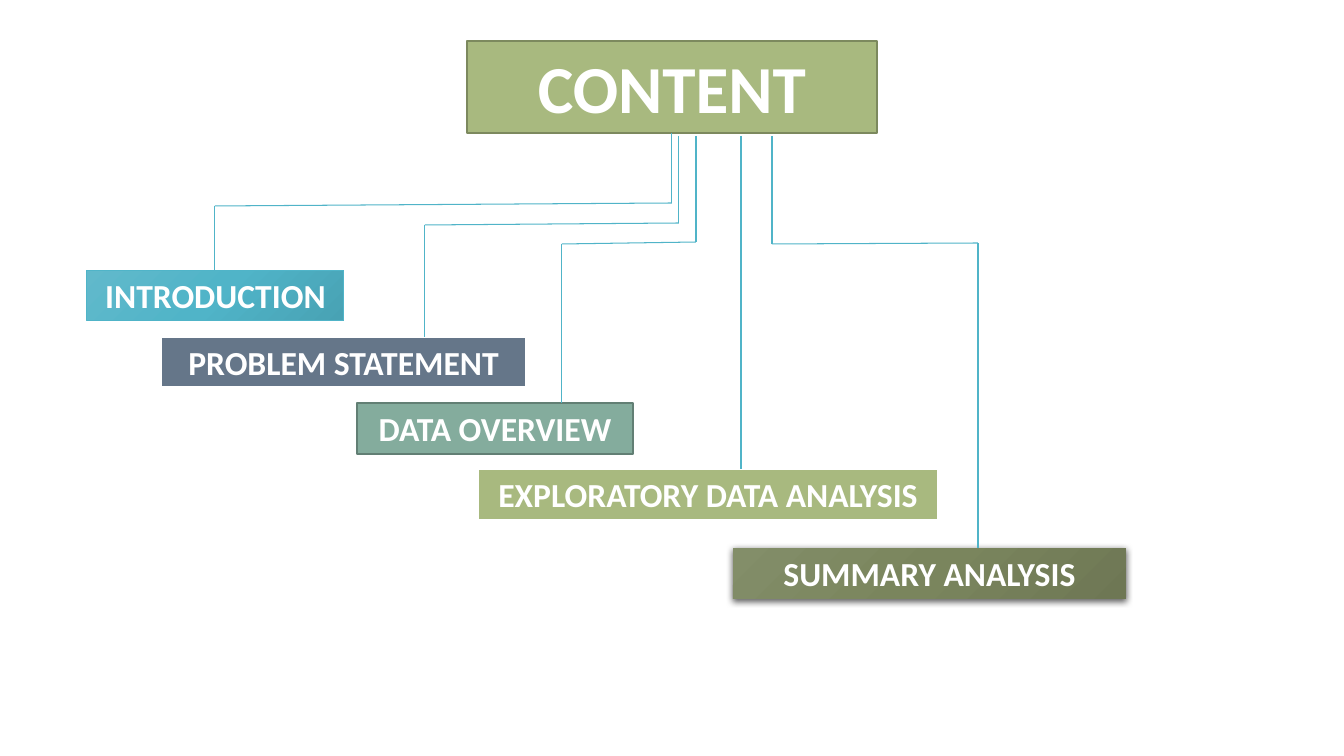
"""Builds the content slide: a title box linked to five topic boxes."""
from copy import deepcopy
from itertools import pairwise

from lxml import etree
from pptx import Presentation
from pptx.dml.color import RGBColor
from pptx.enum.shapes import MSO_CONNECTOR, MSO_SHAPE
from pptx.enum.text import MSO_ANCHOR, PP_ALIGN
from pptx.oxml import parse_xml
from pptx.oxml.ns import qn
from pptx.util import Pt

PX = 914400 / 100.8
RECTANGLE = MSO_SHAPE.RECTANGLE
STRAIGHT = MSO_CONNECTOR.STRAIGHT
CENTER = PP_ALIGN.CENTER
MIDDLE = MSO_ANCHOR.MIDDLE
LINK_COLOR = "50B4C8"
SHADOW = (
    '<a:outerShdw xmlns:a="http://schemas.openxmlformats.org/drawingml/2006/main"'
    ' blurRad="57150" dist="19050" dir="5400000" algn="ctr" rotWithShape="0">'
    '<a:srgbClr val="000000"><a:alpha val="63000"/></a:srgbClr></a:outerShdw>'
)


def px(*lengths):
    return [round(length * PX) for length in lengths]


def rgb(color):
    return RGBColor.from_string(color)


presentation = Presentation()
presentation.slide_width, presentation.slide_height = px(1344, 756)
slide = presentation.slides.add_slide(presentation.slide_layouts[6])

boxes = [
    ("CONTENT", (467, 41, 410, 92), 48, ["A8B97F"], "7C895E", 1),
    ("INTRODUCTION", (87, 270, 257, 51), 24, ["61B9CB", "50B4C8", "48A2B4"], "50B4C8", 0.75),
    ("PROBLEM STATEMENT", (161, 337, 365, 50), 24, ["657689"], "FFFFFF", 1.5),
    ("DATA OVERVIEW", (357, 403, 276, 51), 24, ["84AC9D"], "627F74", 1),
    ("EXPLORATORY DATA ANALYSIS", (478, 469, 460, 51), 24, ["A8B97F"], "FFFFFF", 1.5),
    ("SUMMARY ANALYSIS", (733, 548, 393, 51), 24, ["838E69", "7A855D", "6E7754"], None, 0),
]
for label, frame, size, colors, border, border_width in boxes:
    box = slide.shapes.add_shape(RECTANGLE, *px(*frame))
    box.shadow.inherit = False
    if len(colors) == 1:
        box.fill.solid()
        box.fill.fore_color.rgb = rgb(colors[0])
    else:
        box.fill.gradient()
        box.fill.gradient_angle = 315
        stop_list = box._element.spPr.find(".//" + qn("a:gsLst"))
        stop_list.append(deepcopy(stop_list[0]))
        for stop, color, position in zip(box.fill.gradient_stops, colors, (0, 0.5, 1)):
            stop.color.rgb = rgb(color)
            stop.position = position
    if border:
        box.line.color.rgb = rgb(border)
        box.line.width = Pt(border_width)
    else:
        box.line.fill.background()
        box._element.spPr.find(qn("a:effectLst")).append(parse_xml(SHADOW))
    text = box.text_frame
    text.word_wrap = False
    text.vertical_anchor = MIDDLE
    heading = text.paragraphs[0]
    heading.text = label
    heading.alignment = CENTER
    heading.font.name = "Calibri"
    heading.font.size = Pt(size)
    heading.font.bold = True
    heading.font.color.rgb = rgb("FFFFFF")

routes = [
    [(672, 133), (672, 203), (215, 206), (215, 270)],
    [(679, 136), (679, 223), (425, 225), (425, 337)],
    [(696, 136), (696, 242), (562, 244), (562, 403)],
    [(741, 136), (741, 469)],
    [(772, 136), (772, 244), (978, 243), (978, 548)],
]
for route in routes:
    for start, end in pairwise(route):
        link = slide.shapes.add_connector(STRAIGHT, *px(*start, *end))
        link.line.color.rgb = rgb(LINK_COLOR)
        link.line.width = Pt(0.75)
        etree.SubElement(link._element.spPr, qn("a:effectLst"))

presentation.save("out.pptx")
